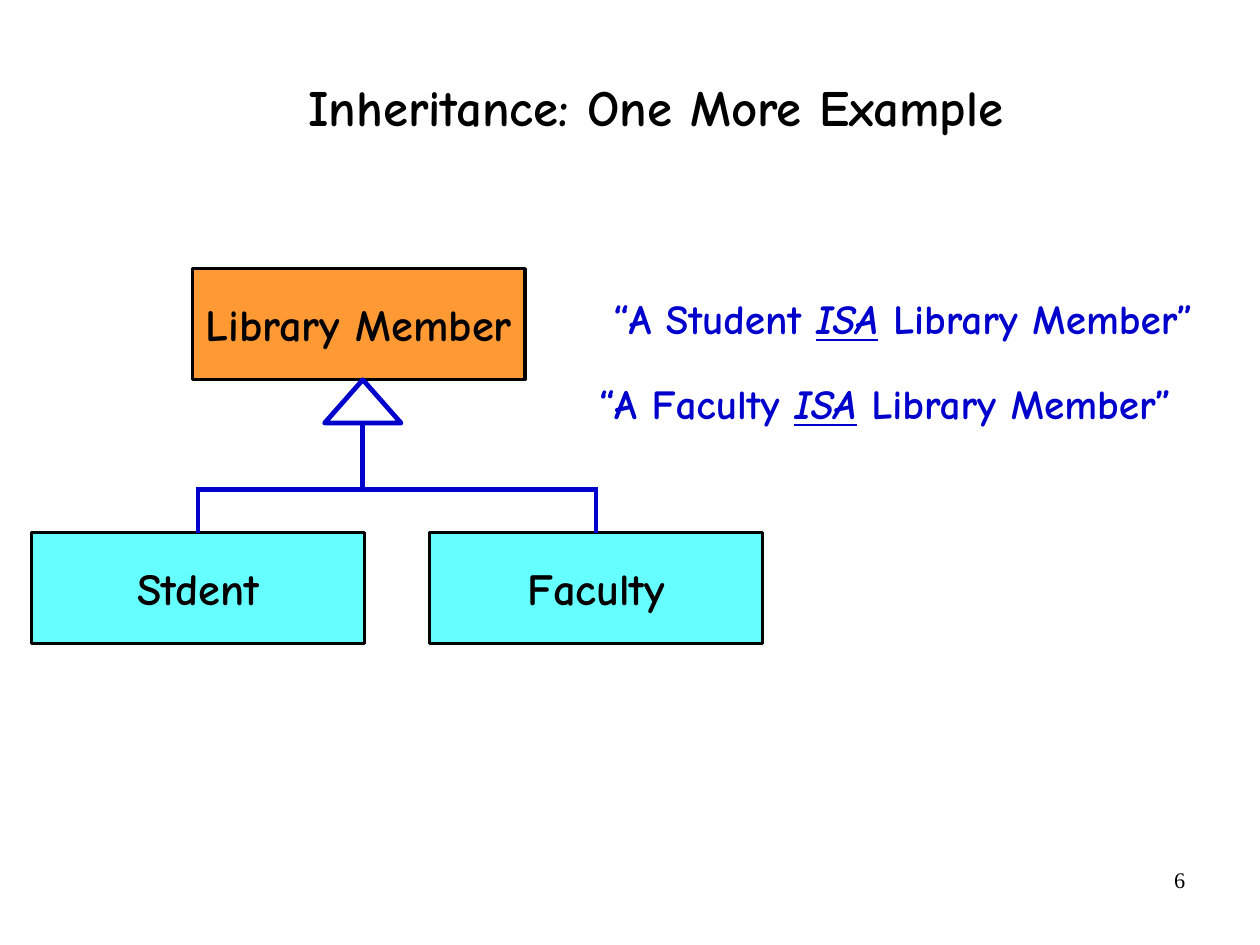
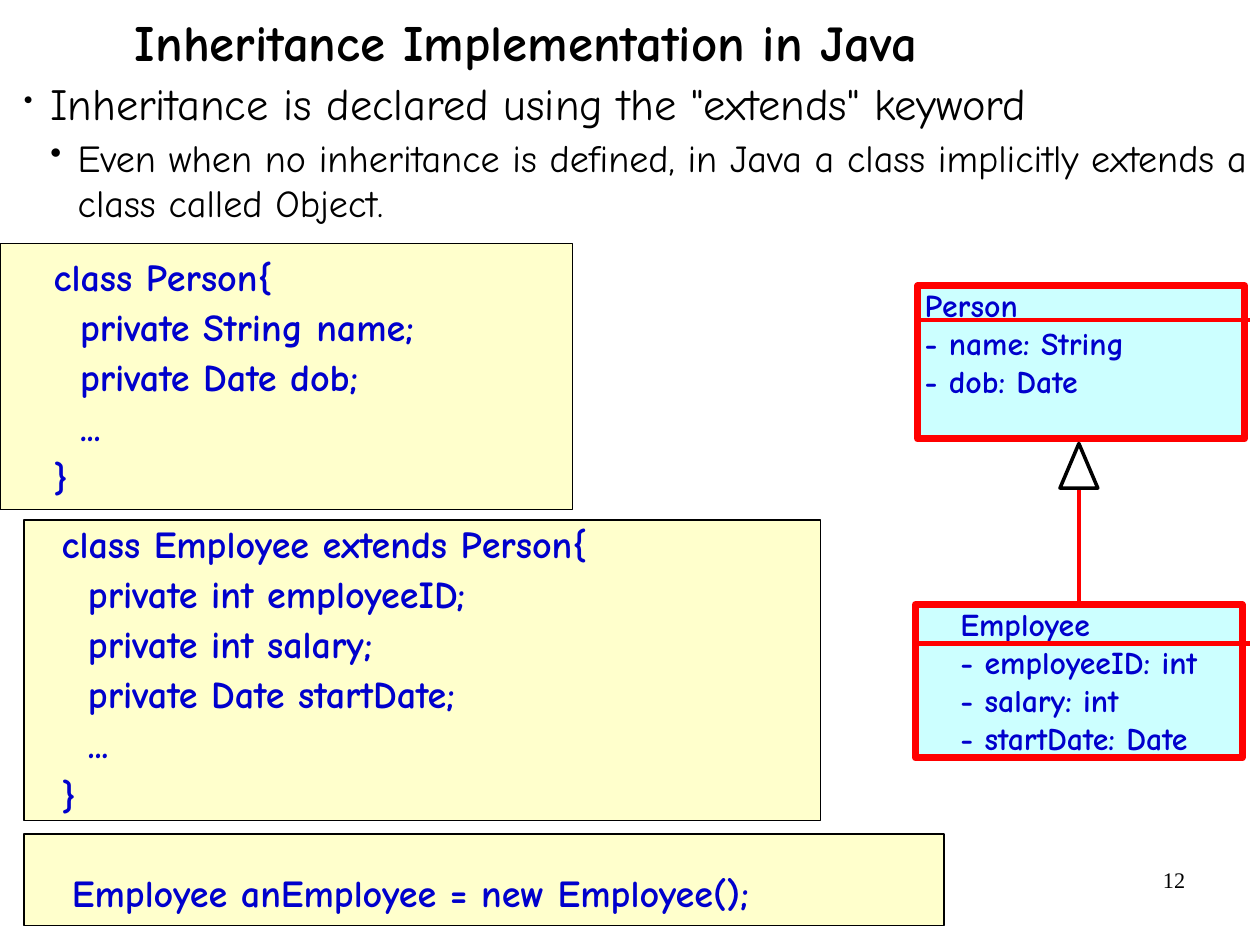
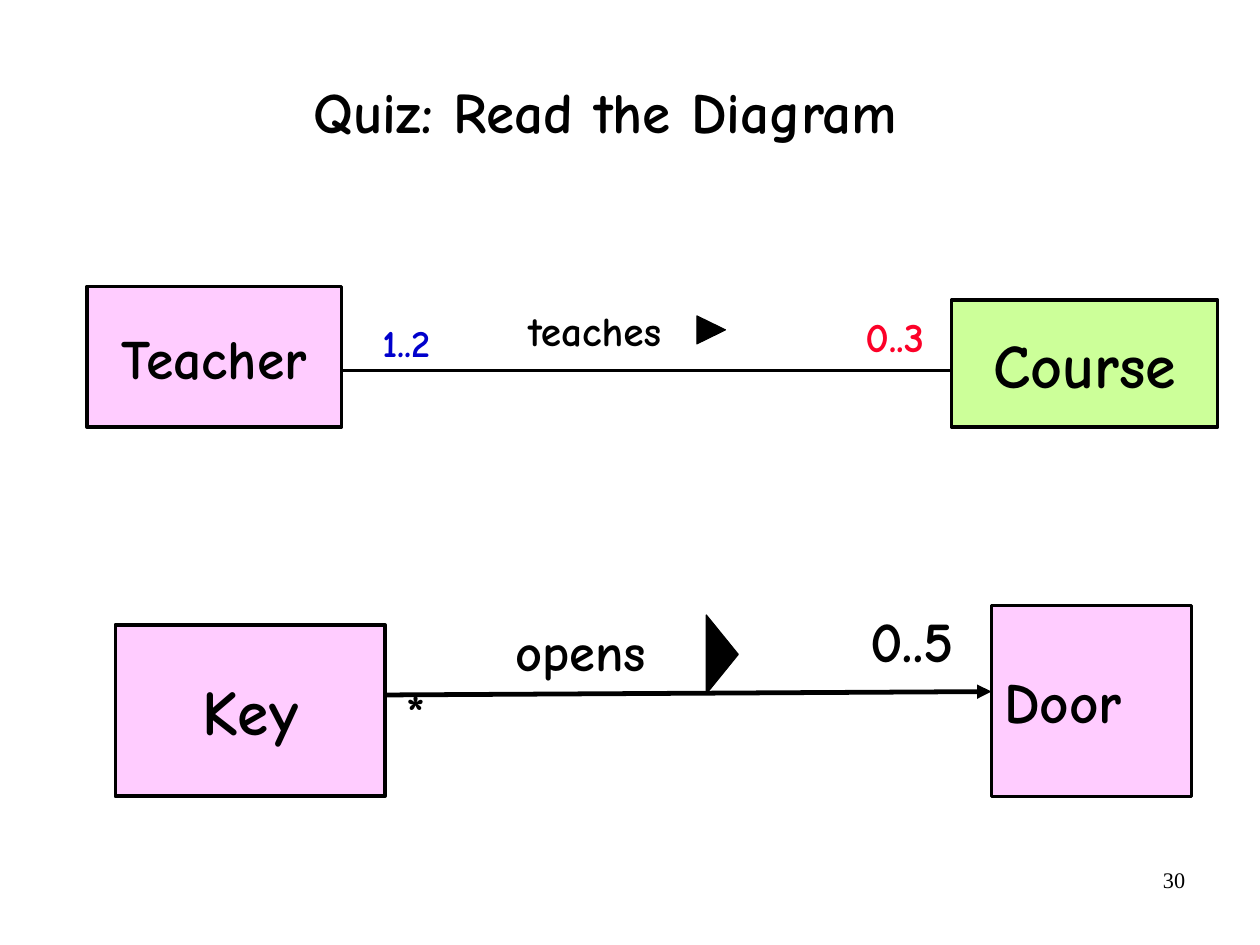
"""Build three slides on inheritance and associations in class diagrams."""
from dataclasses import dataclass

from lxml import etree
from pptx import Presentation
from pptx.dml.color import RGBColor
from pptx.enum.shapes import MSO_CONNECTOR, MSO_SHAPE
from pptx.enum.text import MSO_ANCHOR, MSO_AUTO_SIZE, PP_ALIGN
from pptx.oxml.ns import qn
from pptx.shapes.autoshape import Shape
from pptx.shapes.connector import Connector
from pptx.slide import Slide
from pptx.text.text import TextFrame, _Paragraph
from pptx.util import Pt

RECTANGLE, TRIANGLE = MSO_SHAPE.RECTANGLE, MSO_SHAPE.ISOSCELES_TRIANGLE
STRAIGHT = MSO_CONNECTOR.STRAIGHT
TOP, MIDDLE = MSO_ANCHOR.TOP, MSO_ANCHOR.MIDDLE
LEFT, CENTER, RIGHT = PP_ALIGN.LEFT, PP_ALIGN.CENTER, PP_ALIGN.RIGHT
NO_AUTOFIT = MSO_AUTO_SIZE.NONE

BLACK = RGBColor(0x00, 0x00, 0x00)
WHITE = RGBColor(0xFF, 0xFF, 0xFF)
BLUE = RGBColor(0x00, 0x00, 0xCC)
RED = RGBColor(0xFF, 0x00, 0x00)
CRIMSON = RGBColor(0xFC, 0x01, 0x28)
ORANGE = RGBColor(0xFF, 0x99, 0x33)
CYAN = RGBColor(0x66, 0xFF, 0xFF)
PALE_CYAN = RGBColor(0xCC, 0xFF, 0xFF)
PALE_YELLOW = RGBColor(0xFF, 0xFF, 0xCC)
PINK = RGBColor(0xFF, 0xCC, 0xFF)
LIME = RGBColor(0xCC, 0xFF, 0x99)

TEXT_FONT = "Comic Neue"
NUMBER_FONT = "Times New Roman"
SLIDE_WIDTH, SLIDE_HEIGHT = 793.75, 595.25
CODE_INDENT = 16.56
CODE_GAP = 2.8
BRANCH_WIDTH = 3

Point = tuple[float, float]


@dataclass(frozen=True)
class Area:
    """Place and size in points."""

    left: float
    top: float
    width: float
    height: float

    @property
    def center_x(self) -> float:
        """Return the horizontal centre."""
        return self.left + self.width / 2

    def lengths(self) -> tuple[Pt, Pt, Pt, Pt]:
        """Return the four lengths for python-pptx."""
        return Pt(self.left), Pt(self.top), Pt(self.width), Pt(self.height)


@dataclass(frozen=True)
class Box:
    """A filled rectangle with text."""

    area: Area
    text: str
    fill: RGBColor
    size: float
    color: RGBColor = BLACK
    outline: RGBColor = BLACK
    outline_width: float = 2.25
    align: PP_ALIGN = CENTER
    anchor: MSO_ANCHOR = MIDDLE
    inset_left: float = 6
    inset_top: float = 3


@dataclass(frozen=True)
class Label:
    """A single line of bold text centred on a point."""

    text: str
    center_x: float
    top: float
    width: float
    size: float
    color: RGBColor = BLACK


def set_font(paragraph: _Paragraph, size: float, color: RGBColor = BLACK,
             bold: bool = True, name: str = TEXT_FONT) -> None:
    """Set the font of a whole paragraph."""
    font = paragraph.font
    font.name, font.size, font.bold = name, Pt(size), bold
    font.color.rgb = color


def prepare_frame(frame: TextFrame, left: float = 0, top: float = 0,
                  anchor: MSO_ANCHOR = TOP, wrap: bool = True) -> None:
    """Set insets, anchor and wrapping of a text frame."""
    frame.auto_size = NO_AUTOFIT
    frame.word_wrap = wrap
    frame.vertical_anchor = anchor
    frame.margin_left = frame.margin_right = Pt(left)
    frame.margin_top = frame.margin_bottom = Pt(top)


def set_hanging(paragraph: _Paragraph, margin: float, hang: float) -> etree._Element:
    """Give a paragraph a hanging indent and return its properties."""
    properties = paragraph._p.get_or_add_pPr()
    properties.set("marL", str(Pt(margin)))
    properties.set("indent", str(-Pt(hang)))
    return properties


def add_slide(presentation: Presentation, title: str, area: Area, size: float,
              number: int, align: PP_ALIGN = CENTER, anchor: MSO_ANCHOR = MIDDLE,
              spacing: float = 0.88) -> Slide:
    """Add a slide with its title and page number."""
    slide = presentation.slides.add_slide(presentation.slide_layouts[5])
    shape = slide.shapes.title
    shape.left, shape.top, shape.width, shape.height = area.lengths()
    shape.text_frame.text = title
    prepare_frame(shape.text_frame, anchor=anchor)
    paragraph = shape.text_frame.paragraphs[0]
    paragraph.alignment = align
    paragraph.line_spacing = spacing
    set_font(paragraph, size)

    number_area = Area(568.8, 542.16, 185, 41)
    frame = slide.shapes.add_textbox(*number_area.lengths()).text_frame
    frame.text = str(number)
    prepare_frame(frame, 7.2, 3.6)
    frame.paragraphs[0].alignment = RIGHT
    set_font(frame.paragraphs[0], 14, bold=False, name=NUMBER_FONT)
    return slide


def add_outlined(slide: Slide, preset: MSO_SHAPE, area: Area, fill: RGBColor | None,
                 outline: RGBColor, width: float) -> Shape:
    """Add a flat preset shape."""
    shape = slide.shapes.add_shape(preset, *area.lengths())
    shape.shadow.inherit = False
    if fill is None:
        shape.fill.background()
    else:
        shape.fill.solid()
        shape.fill.fore_color.rgb = fill
    shape.line.color.rgb = outline
    shape.line.width = Pt(width)
    return shape


def add_box(slide: Slide, box: Box) -> Shape:
    """Add a rectangle with its text."""
    shape = add_outlined(slide, RECTANGLE, box.area, box.fill, box.outline,
                         box.outline_width)
    frame = shape.text_frame
    frame.text = box.text
    prepare_frame(frame, box.inset_left, box.inset_top, box.anchor)
    if box.align == LEFT:
        frame.margin_right = 0
    for paragraph in frame.paragraphs:
        paragraph.alignment = box.align
        set_font(paragraph, box.size, box.color)
    return shape


def add_code(slide: Slide, area: Area, code: str, left: float, top: float) -> None:
    """Add a panel of source code."""
    shape = add_box(slide, Box(area, code, PALE_YELLOW, 24, BLUE, outline_width=0.75,
                               align=LEFT, anchor=TOP, inset_left=left, inset_top=top))
    for index, paragraph in enumerate(shape.text_frame.paragraphs):
        set_hanging(paragraph, CODE_INDENT, CODE_INDENT)
        if index:
            paragraph.space_before = Pt(CODE_GAP)


def add_label(slide: Slide, label: Label) -> _Paragraph:
    """Add a one-line label and return its paragraph."""
    area = Area(label.center_x - label.width / 2, label.top, label.width,
                label.size * 1.2)
    frame = slide.shapes.add_textbox(*area.lengths()).text_frame
    frame.text = label.text
    prepare_frame(frame, wrap=False)
    paragraph = frame.paragraphs[0]
    paragraph.alignment = CENTER
    set_font(paragraph, label.size, label.color)
    return paragraph


def add_line(slide: Slide, start: Point, end: Point, color: RGBColor, width: float,
             arrow: bool = False) -> Connector:
    """Add a straight connector, with an arrowhead at its end if asked."""
    connector = slide.shapes.add_connector(
        STRAIGHT, *(Pt(value) for value in (*start, *end)))
    connector.line.color.rgb = color
    connector.line.width = Pt(width)
    properties = connector._element.spPr
    if arrow:
        etree.SubElement(properties.find(qn("a:ln")), qn("a:tailEnd"), type="triangle")
    etree.SubElement(properties, qn("a:effectLst"))
    return connector


def add_direction(slide: Slide, center: Point, base: float, length: float) -> None:
    """Add a black triangle that points right."""
    area = Area(center[0] - base / 2, center[1] - length / 2, base, length)
    add_outlined(slide, TRIANGLE, area, BLACK, BLACK, 0.75).rotation = 90


def add_bullets(slide: Slide, area: Area) -> None:
    """Add the two bullets on the extends keyword."""
    bullets = (
        ('Inheritance is declared using the "extends" keyword', 28, 16.56, 16.56, 59),
        ("Even when no inheritance is defined, in Java a class implicitly extends a "
         "class called Object.", 24, 33.84, 17.28, 85),
    )
    frame = slide.shapes.add_textbox(*area.lengths()).text_frame
    frame.text = "\n".join(bullet[0] for bullet in bullets)
    prepare_frame(frame)
    for level, (paragraph, bullet) in enumerate(zip(frame.paragraphs, bullets)):
        _, size, margin, hang, percent = bullet
        properties = set_hanging(paragraph, margin, hang)
        etree.SubElement(properties, qn("a:buSzPct"), val=str(percent * 1000))
        etree.SubElement(properties, qn("a:buChar"), char="•")
        paragraph.level = level
        if level:
            paragraph.space_before = Pt(CODE_GAP)
        set_font(paragraph, size, bold=False)


def build_member_slide(presentation: Presentation) -> None:
    """Build the library member hierarchy."""
    slide = add_slide(presentation, "Inheritance: One More Example",
                      Area(81.36, 32.4, 663.84, 74.16), 32, 6)
    box_width, box_height = 209.5, 70
    parent = Area(121.3, 169.2, box_width, box_height)
    add_box(slide, Box(parent, "Library Member", ORANGE, 28, outline_width=2))
    fork_x, fork_y, arrow_base = 228.6, 308.16, 266.5
    children = []
    for left, name in ((20, "Stdent"), (270.72, "Faculty")):
        child = Area(left, 335.52, box_width, box_height)
        shape = add_box(slide, Box(child, name, CYAN, 28, outline_width=2))
        branch = add_line(slide, (child.center_x, fork_y), (child.center_x, child.top),
                          BLUE, BRANCH_WIDTH)
        branch.end_connect(shape, 0)
        children.append(child)
    overhang = BRANCH_WIDTH / 2
    add_line(slide, (children[0].center_x - overhang, fork_y),
             (children[1].center_x + overhang, fork_y), BLUE, BRANCH_WIDTH)
    add_line(slide, (fork_x, fork_y), (fork_x, arrow_base), BLUE, BRANCH_WIDTH)
    add_outlined(slide, TRIANGLE, Area(204.5, 239.2, 48.2, 27.3), None, BLUE,
                 BRANCH_WIDTH)
    for subject, center_x, top in (("Student", 569, 185), ("Faculty", 557.6, 238.3)):
        paragraph = add_label(
            slide, Label(f"“A {subject} ", center_x, top, 440, 26, BLUE))
        relation = paragraph.add_run()
        relation.text = "ISA"
        relation.font.italic = relation.font.underline = True
        paragraph.add_run().text = " Library Member”"


def build_java_slide(presentation: Presentation) -> None:
    """Build the code listing with its class diagram."""
    slide = add_slide(presentation, "Inheritance Implementation in Java",
                      Area(84.96, 6.8, 700, 38.16), 32, 12, LEFT, TOP, 1)
    add_bullets(slide, Area(15.12, 48, 778.6, 104))

    add_code(slide, Area(0, 153.36, 360.72, 167.76),
             "class Person{\n\tprivate String name;\n\tprivate Date dob;\n\t...\n}",
             33.84, 6)
    add_code(slide, Area(15.12, 327.6, 501.84, 189.36),
             "class Employee extends Person{\n\tprivate int employeeID;\n"
             "\tprivate int salary;\n\tprivate Date startDate;\n\t...\n}",
             23.76, 0)
    add_code(slide, Area(15.12, 525.4, 579.6, 57.6),
             "Employee anEmployee = new Employee();", 30.24, 22)

    classes = (
        (Area(578.16, 180, 205.92, 96.48), "Person\n- name: String\n- dob: Date",
         4.3, 201.6),
        (Area(576.72, 380.88, 205.92, 96.48),
         "Employee\n- employeeID: int\n- salary: int\n- startDate: Date", 28.3, 405.36),
    )
    for area, text, inset, divider_y in classes:
        class_box = add_box(slide, Box(area, text, PALE_CYAN, 20, BLUE, RED, 4.5, LEFT,
                                       TOP, inset, 0))
        add_line(slide, (576.72, divider_y), (787.68, divider_y), RED, 3)
    employee = classes[-1][0]
    arrow = Area(employee.center_x - 11.9, 279.36, 23.8, 28.08)
    stem = add_line(slide, (employee.center_x, employee.top),
                    (employee.center_x, arrow.top + arrow.height), RED, 3)
    stem.begin_connect(class_box, 0)
    add_outlined(slide, TRIANGLE, arrow, WHITE, BLACK, 2.25)


def build_quiz_slide(presentation: Presentation) -> None:
    """Build the two association diagrams."""
    slide = add_slide(presentation, "Quiz: Read the Diagram",
                      Area(43, 23.4, 676.8, 98.64), 36, 30)
    for box in (
        Box(Area(54.72, 180.5, 160.56, 88.56), "Teacher", PINK, 35),
        Box(Area(599.4, 189, 167.76, 79.92), "Course", LIME, 39),
        Box(Area(72.72, 393.6, 169.92, 108), "Key", PINK, 40),
        Box(Area(624.6, 381.5, 126, 120.24), "Door", PINK, 36, align=LEFT,
            inset_left=7.92),
    ):
        add_box(slide, box)
    add_line(slide, (215.28, 233.28), (599.4, 233.28), BLACK, 2.25)
    add_line(slide, (242.64, 437.76), (624.6, 435.6), BLACK, 3, arrow=True)
    add_direction(slide, (448, 207.8), 17.6, 18)
    add_direction(slide, (455, 412.2), 49.68, 20.16)
    for label in (
        Label("teaches", 374.76, 192.5, 84, 26),
        Label("0..3", 563.76, 196, 37.4, 26, CRIMSON),
        Label("1..2", 256, 201, 30.2, 24, BLUE),
        Label("opens", 365.8, 389.8, 83, 33),
        Label("0..5", 574.6, 381.6, 52.6, 36),
    ):
        add_label(slide, label)
    many = add_label(slide, Label("*", 262, 392.4, 12.2, 54))
    many.runs[0]._r.get_or_add_rPr().set("baseline", "-25000")


def main() -> None:
    """Build and save the presentation."""
    presentation = Presentation()
    presentation.slide_width = Pt(SLIDE_WIDTH)
    presentation.slide_height = Pt(SLIDE_HEIGHT)
    build_member_slide(presentation)
    build_java_slide(presentation)
    build_quiz_slide(presentation)
    presentation.save("out.pptx")


if __name__ == "__main__":
    main()
